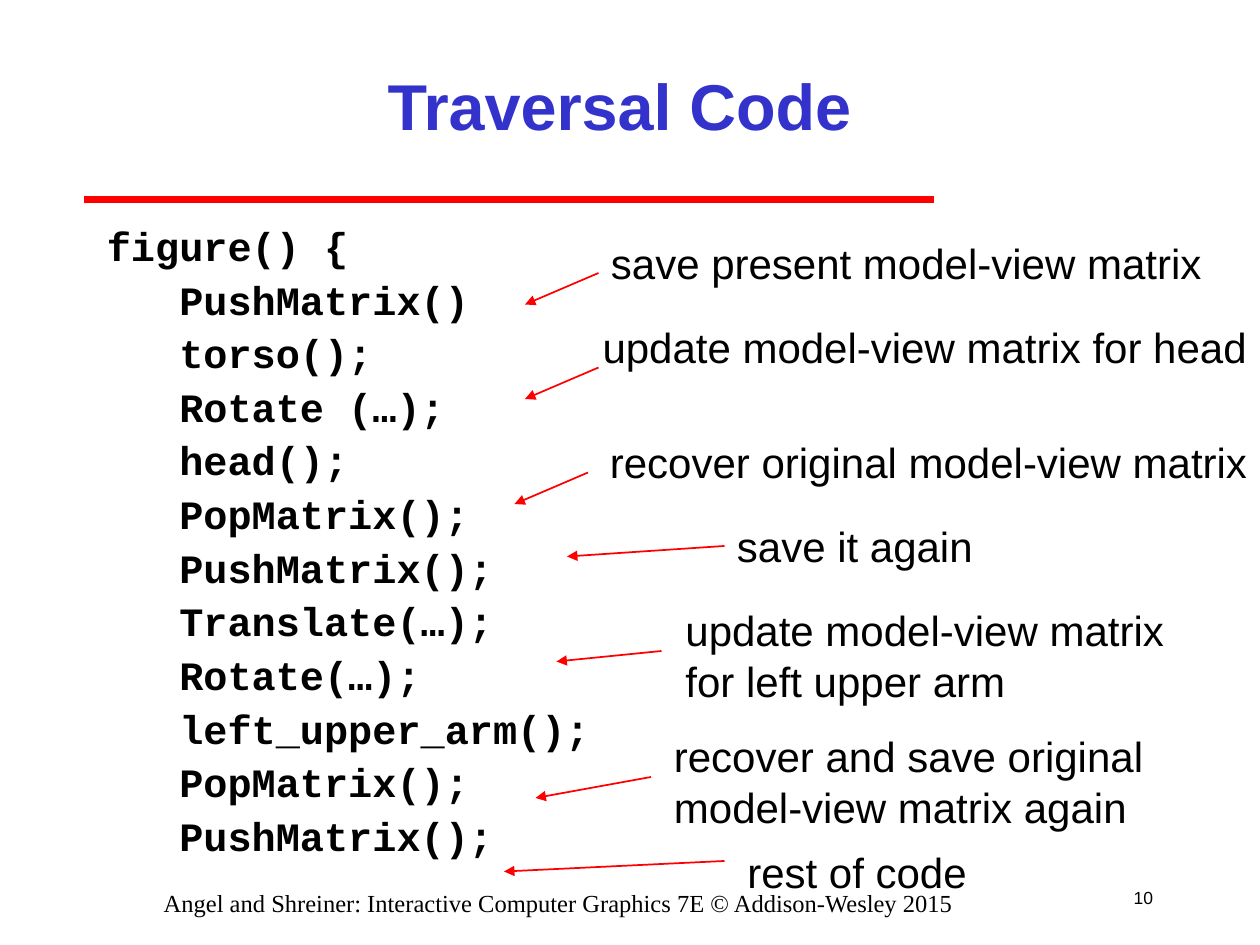
"""Build the Traversal Code slide on a grid of 120 columns by 90 rows."""
from dataclasses import dataclass

from lxml import etree
from pptx import Presentation
from pptx.dml.color import RGBColor
from pptx.enum.shapes import MSO_CONNECTOR
from pptx.enum.text import MSO_ANCHOR, MSO_AUTO_SIZE, PP_ALIGN
from pptx.oxml.ns import qn
from pptx.util import Inches, Pt

STRAIGHT = MSO_CONNECTOR.STRAIGHT
TOP, MIDDLE = MSO_ANCHOR.TOP, MSO_ANCHOR.MIDDLE
LEFT, CENTER, RIGHT = PP_ALIGN.LEFT, PP_ALIGN.CENTER, PP_ALIGN.RIGHT
GROW, FIXED = MSO_AUTO_SIZE.SHAPE_TO_FIT_TEXT, MSO_AUTO_SIZE.NONE

WIDTH, HEIGHT = Inches(10), Inches(7.5)
COLUMNS, ROWS = 120, 90
TITLE_ONLY = 5
COLORS = {"rule": "FF0000", "title": "3333CC", "text": "000000"}
TITLE_FONT = {"name": "Arial", "size": Pt(37), "bold": True}
CODE_FONT = {"name": "Courier New", "size": Pt(23), "bold": True}
NOTE_FONT = {"name": "Arial", "size": Pt(24)}
NUMBER_FONT = {"name": "Arial", "size": Pt(10)}
FOOTER_FONT = {"name": "Times New Roman", "size": Pt(14)}
CODE_SPACING = {"line_spacing": 0.9, "space_before": Pt(5.8)}
TITLE_FRAME = {"word_wrap": True, "auto_size": FIXED, "vertical_anchor": MIDDLE}
TEXT_FRAME = {"word_wrap": True, "auto_size": FIXED, "vertical_anchor": TOP}
NOTE_FRAME = {"word_wrap": True, "auto_size": GROW, "vertical_anchor": TOP, "margin_right": 0}
NUMBER_FRAME = {"word_wrap": False, "auto_size": FIXED, "vertical_anchor": MIDDLE}

CODE = """figure() {
   PushMatrix()
   torso();
   Rotate (…);
   head();
   PopMatrix();
   PushMatrix();
   Translate(…);
   Rotate(…);
   left_upper_arm();
   PopMatrix();
   PushMatrix();"""


@dataclass(frozen=True)
class Area:
    """A rectangle in grid columns and rows."""
    column: float
    row: float
    columns: float
    rows: float


@dataclass(frozen=True)
class Note:
    """A remark and the start and end of its arrow, in grid units."""
    text: str
    area: Area
    start: tuple[float, float]
    end: tuple[float, float]


NOTES = [
    Note("save present model-view matrix", Area(57, 22, 58.5, 6), (57, 26), (50, 29)),
    Note("update model-view matrix for head", Area(56.2, 30, 63.7, 6), (57, 35), (50, 38)),
    Note("recover original model-view matrix", Area(56.9, 41, 63, 6), (56, 45), (49, 48)),
    Note("save it again", Area(69, 49, 24.8, 6), (69, 52), (54, 53)),
    Note("update model-view matrix\nfor left upper arm", Area(64.1, 57, 49.1, 10.8), (63, 62), (53, 63)),
    Note("recover and save original\nmodel-view matrix again", Area(63, 69, 48.1, 10.8), (62, 74), (51, 76)),
    Note("rest of code", Area(70, 80, 23.3, 6), (69, 82), (48, 83)),
]


def across(columns: float) -> int:
    """Turn grid columns into a length."""
    return round(WIDTH * columns / COLUMNS)


def down(rows: float) -> int:
    """Turn grid rows into a length."""
    return round(HEIGHT * rows / ROWS)


def apply(target, values: dict) -> None:
    """Set each named attribute on the target."""
    for name, value in values.items():
        setattr(target, name, value)


def place(box, area: Area) -> None:
    """Move and size a shape to a grid area."""
    apply(box, {"left": across(area.column), "top": down(area.row),
                "width": across(area.columns), "height": down(area.rows)})


def write(box, text: str, font: dict, layout: dict, color: str = "text",
          align=LEFT, spacing: dict | None = None) -> None:
    """Fill a box with formatted paragraphs, one per line of text."""
    frame = box.text_frame
    frame.text = text
    apply(frame, layout)
    for index, para in enumerate(frame.paragraphs):
        para.alignment = align
        apply(para, spacing or {})
        if index == 0:
            para.space_before = Pt(0)
        for span in para.runs:
            apply(span.font, font)
            span.font.color.rgb = RGBColor.from_string(COLORS[color])


def add_text(page, area: Area, text: str, font: dict, layout: dict, **options) -> None:
    """Add a text box on a grid area."""
    box = page.shapes.add_textbox(0, 0, 0, 0)
    write(box, text, font, layout, **options)
    place(box, area)


def add_line(page, start: tuple[float, float], end: tuple[float, float],
             weight: float, arrow: bool = False) -> None:
    """Draw a straight red line, with an arrowhead at its end if asked."""
    line = page.shapes.add_connector(
        STRAIGHT, across(start[0]), down(start[1]), across(end[0]), down(end[1]))
    line.line.color.rgb = RGBColor.from_string(COLORS["rule"])
    line.line.width = Pt(weight)
    if arrow:
        etree.SubElement(line.line._get_or_add_ln(), qn("a:tailEnd"), type="triangle")
    etree.SubElement(line._element.spPr, qn("a:effectLst"))


def main() -> None:
    """Build and save the deck."""
    deck = Presentation()
    deck.slide_width, deck.slide_height = WIDTH, HEIGHT
    page = deck.slides.add_slide(deck.slide_layouts[TITLE_ONLY])
    add_line(page, (8, 19), (89, 19), 4)
    place(page.shapes.title, Area(18, 3, 82, 14))
    write(page.shapes.title, "Traversal Code", TITLE_FONT, TITLE_FRAME,
          color="title", align=CENTER)
    add_text(page, Area(9, 21, 102, 62), CODE, CODE_FONT, TEXT_FRAME, spacing=CODE_SPACING)
    for note in NOTES:
        add_line(page, note.start, note.end, 1, arrow=True)
        add_text(page, note.area, note.text, NOTE_FONT, NOTE_FRAME)
    add_text(page, Area(5.7, 84, 95, 4),
             "Angel and Shreiner: Interactive Computer Graphics 7E © Addison-Wesley 2015",
             FOOTER_FONT, TEXT_FRAME, align=CENTER)
    add_text(page, Area(106, 83, 5, 5), "10", NUMBER_FONT, NUMBER_FRAME, align=RIGHT)
    deck.save("out.pptx")


if __name__ == "__main__":
    main()
